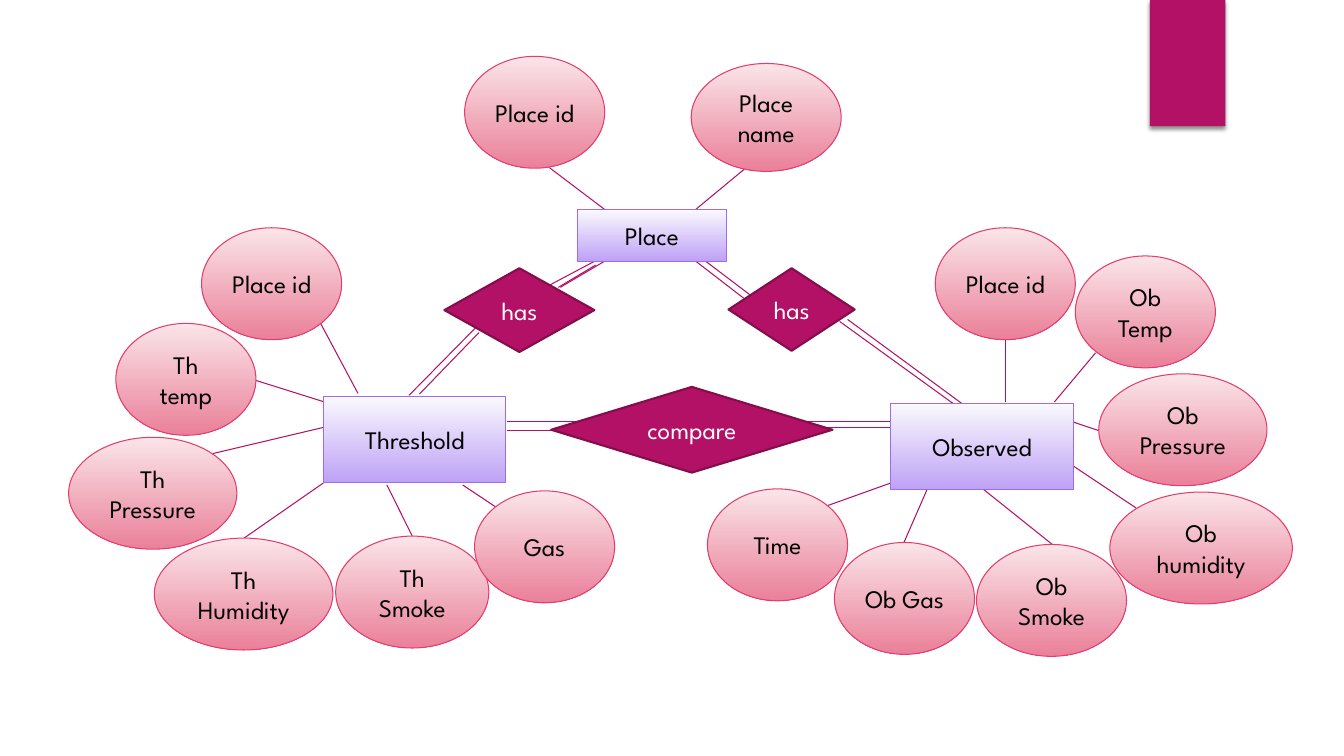
from typing import NamedTuple

from lxml import etree
from pptx import Presentation
from pptx import util as u
from pptx.dml.color import RGBColor
from pptx.enum import shapes, text
from pptx.oxml.ns import qn

FONT = "League Spartan"
MAGENTA = "B31166"
Points = tuple[float, float, float, float]


class Style(NamedTuple):
    kind: shapes.MSO_SHAPE
    fills: tuple[str, ...]  # one colour is solid, two run from top to bottom
    line: str
    line_pt: float
    font_color: str


class Node(NamedTuple):
    label: str
    x: float
    y: float
    w: float
    h: float


class Attribute(NamedTuple):
    label: str
    x: float
    y: float
    link: Points
    w: float = 3.53
    h: float = 2.82


ENTITY = Style(shapes.MSO_SHAPE.RECTANGLE, ("FAF9FE", "BEA2F6"), "9B6BF2", 0.75, "000000")
ATTRIBUTE = Style(shapes.MSO_SHAPE.OVAL, ("FAE5E9", "EA8099"), "E33D6F", 0.75, "000000")
RELATION = Style(shapes.MSO_SHAPE.FLOWCHART_DECISION, (MAGENTA,), "840D4B", 1.5, "FFFFFF")

ENTITIES = [
    Node("Place", 14.55, 5.28, 3.76, 1.3),
    Node("Threshold", 8.15, 9.98, 4.6, 2.18),
    Node("Observed", 22.45, 10.16, 4.6, 2.18),
]
RELATIONS = [
    Node("has", 11.2, 6.76, 3.78, 2.11),
    Node("has", 18.36, 6.76, 3.18, 2.08),
    Node("compare", 13.89, 9.75, 7.09, 2.16),
]
ATTRIBUTES = [
    # Place
    Attribute("Place id", 11.71, 1.42, (15.24, 5.28, 13.84, 4.22)),
    Attribute("Place name", 17.42, 1.6, (17.53, 5.28, 18.75, 4.27), 3.78, 2.72),
    # Threshold
    Attribute("Th\nPressure", 1.73, 11.02, (8.15, 10.77, 5.36, 11.43), 4.24),
    Attribute("Th\nHumidity", 3.89, 13.56, (8.15, 12.17, 6.15, 13.56), 4.5),
    Attribute("Th Smoke", 8.46, 13.51, (9.75, 12.22, 10.39, 13.51), 3.86),
    Attribute("Gas", 11.96, 12.37, (11.66, 12.22, 12.5, 12.78)),
    Attribute("Th temp", 2.92, 8.15, (8.18, 10.13, 6.43, 9.58)),
    Attribute("Place id", 5.08, 5.74, (9.02, 9.91, 8.08, 8.15)),
    # Observed
    Attribute("Ob\nTemp", 27.1, 6.45, (26.57, 10.13, 27.61, 8.89)),
    Attribute("Ob Pressure", 27.69, 9.42, (27, 10.62, 27.69, 10.85), 4.24),
    Attribute("Ob humidity", 27.97, 12.4, (27.03, 11.73, 28.63, 12.8), 4.6),
    Attribute("Ob\nSmoke", 24.61, 13.72, (24.77, 12.32, 26.52, 13.72), 3.78),
    Attribute("Ob Gas", 21.03, 13.67, (23.37, 12.32, 22.78, 13.67)),
    Attribute("Time", 17.83, 12.32, (22.45, 12.17, 20.83, 12.75)),
    Attribute("Place id", 23.57, 5.74, (25.35, 10.13, 25.35, 8.56)),
]
RELATION_LINES: list[Points] = [
    # Place to Threshold
    (14.99, 6.58, 13.84, 7.19),
    (15.01, 6.68, 14.07, 7.24),
    (15.24, 6.58, 14.12, 7.24),
    (12.19, 8.05, 10.31, 9.96),
    (12.07, 8.38, 10.57, 9.93),
    # Place to Observed
    (17.53, 6.58, 18.75, 7.52),
    (17.78, 6.58, 19.02, 7.52),
    (21.36, 8.05, 24.23, 10.16),
    (21.16, 8.1, 24.05, 10.19),
    # Threshold to Observed
    (12.78, 10.62, 14.55, 10.62),
    (12.78, 10.85, 14.55, 10.85),
    (20.27, 10.62, 22.45, 10.62),
    (20.65, 10.77, 22.45, 10.77),
]


def rgb(value: str) -> RGBColor:
    return RGBColor.from_string(value)


def write(tf, content: str, *, size: float = 18, color: str = "000000",
          align=text.PP_ALIGN.CENTER) -> None:
    tf.word_wrap = True
    tf.vertical_anchor = text.MSO_ANCHOR.MIDDLE
    for i, line in enumerate(content.split("\n")):
        p = tf.add_paragraph() if i else tf.paragraphs[0]
        p.alignment = align
        r = p.add_run()
        r.text = line
        r.font.name = FONT
        r.font.size = u.Pt(size)
        r.font.color.rgb = rgb(color)


def add_node(s, node: Node | Attribute, style: Style) -> None:
    box = (u.Cm(v) for v in (node.x, node.y, node.w, node.h))
    sp = s.shapes.add_shape(style.kind, *box)
    sp.shadow.inherit = False
    if len(style.fills) == 1:
        sp.fill.solid()
        sp.fill.fore_color.rgb = rgb(style.fills[0])
    else:
        sp.fill.gradient()
        sp.fill.gradient_angle = 270
        for i, (stop, color) in enumerate(zip(sp.fill.gradient_stops, style.fills)):
            stop.position = i
            stop.color.rgb = rgb(color)
    sp.line.color.rgb = rgb(style.line)
    sp.line.width = u.Pt(style.line_pt)
    write(sp.text_frame, node.label, color=style.font_color)


def add_line(s, points: Points) -> None:
    c = s.shapes.add_connector(shapes.MSO_CONNECTOR.STRAIGHT, *(u.Cm(v) for v in points))
    c.line.color.rgb = rgb(MAGENTA)
    c.line.width = u.Pt(0.75)
    etree.SubElement(c._element.spPr, qn("a:effectLst"))


def add_corner_bar(s) -> None:
    sp = s.shapes.add_shape(shapes.MSO_SHAPE.RECTANGLE, u.Cm(28.98), 0, u.Cm(1.9), u.Cm(3.18))
    sp.fill.solid()
    sp.fill.fore_color.rgb = rgb(MAGENTA)
    sp.line.fill.background()
    effects = etree.SubElement(sp._element.spPr, qn("a:effectLst"))
    shadow = etree.SubElement(effects, qn("a:outerShdw"), blurRad=str(u.Pt(3)),
                              dist=str(u.Pt(2)), dir="5400000", rotWithShape="0")
    color = etree.SubElement(shadow, qn("a:srgbClr"), val="000000")
    etree.SubElement(color, qn("a:alpha"), val="45000")


prs = Presentation()
prs.slide_width, prs.slide_height = u.Cm(33.87), u.Cm(19.05)
s = prs.slides.add_slide(prs.slide_layouts[6])

add_corner_bar(s)

# Lines lie behind the nodes they join
for points in RELATION_LINES + [a.link for a in ATTRIBUTES]:
    add_line(s, points)

# Entities, relations and attributes
for nodes, style in ((ENTITIES, ENTITY), (RELATIONS, RELATION), (ATTRIBUTES, ATTRIBUTE)):
    for node in nodes:
        add_node(s, node, style)

prs.save("out.pptx")
